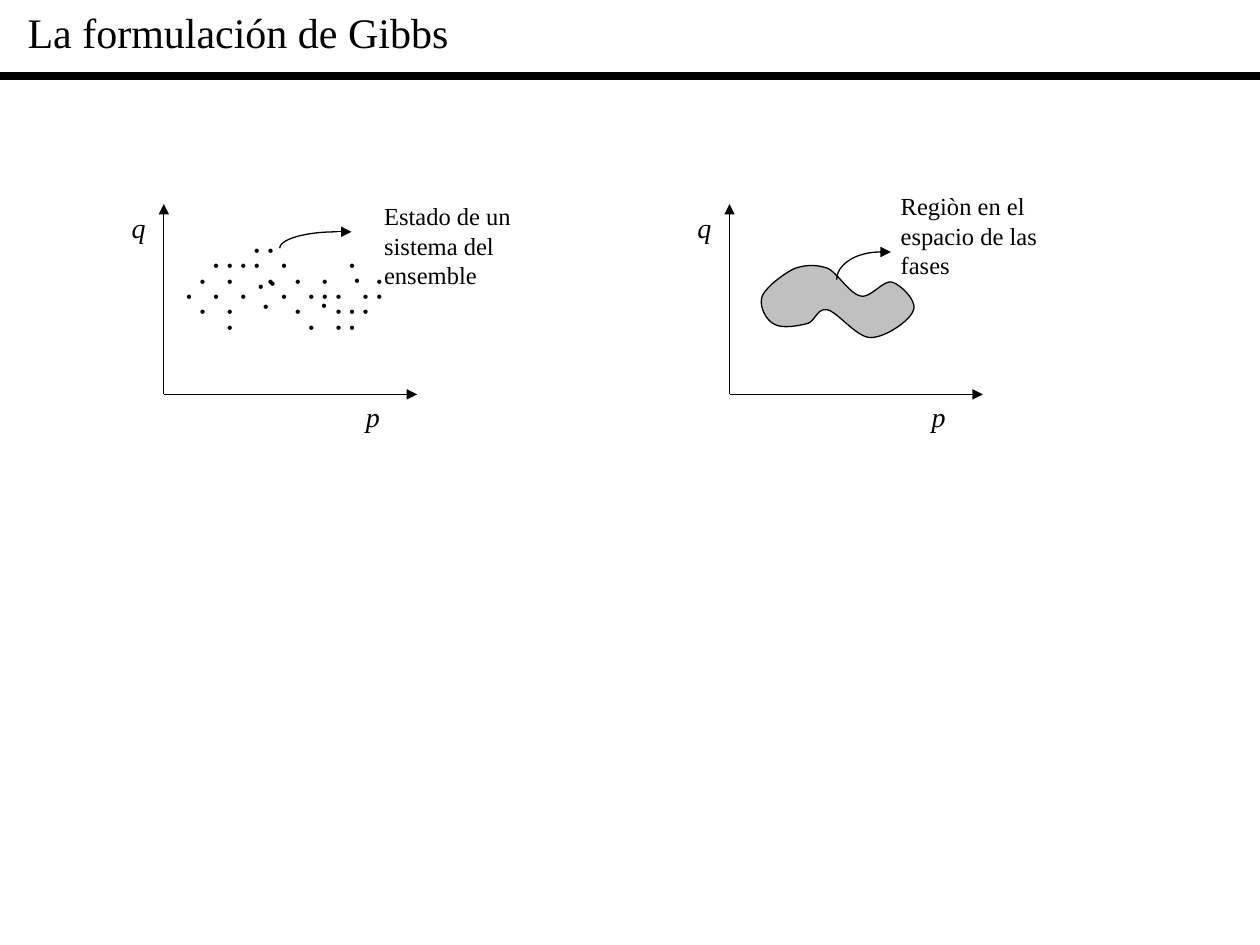
from lxml import etree
from pptx import Presentation
from pptx.dml.color import RGBColor
from pptx.enum import shapes, text
from pptx.oxml import ns
from pptx.util import Inches, Pt

SERIF, SANS = "Times New Roman", "Arial"
BLACK, GRAY = "000000", "C0C0C0"

DOT_ROWS = [
    (5, 6),
    (2, 3, 4, 5, 7, 12),
    (1, 3, 6, 8, 10, 14),
    (0, 2, 4, 7, 9, 10, 11, 13, 14),
    (1, 3, 8, 11, 12, 13),
    (3, 9, 11, 12),
]
STRAY_DOTS = [
    (0.71, 0.26, 0.15, 0.22, "•"),
    (1.12, 0.44, 0.15, 0.22, "•"),
    (0.57, 0.29, 0.22, 0.24, "•"),
    (0.61, 0.45, 0.22, 0.24, "•"),
    (1.3, 0.24, 0.32, 0.24, " •"),
]
REGION_START = (0.29, 0.03)
REGION_CURVES = [
    ((0.38, 0), (0.46, 0), (0.55, 0.03)),
    ((0.63, 0.07), (0.72, 0.23), (0.81, 0.25)),
    ((0.89, 0.27), (0.99, 0.12), (1.06, 0.14)),
    ((1.13, 0.16), (1.26, 0.29), (1.23, 0.36)),
    ((1.21, 0.44), (1.01, 0.58), (0.89, 0.58)),
    ((0.78, 0.58), (0.63, 0.38), (0.55, 0.36)),
    ((0.46, 0.34), (0.45, 0.46), (0.38, 0.47)),
    ((0.3, 0.49), (0.18, 0.51), (0.12, 0.47)),
    ((0.06, 0.44), (0, 0.33), (0.03, 0.25)),
    ((0.06, 0.18), (0.2, 0.07), REGION_START),
]


def color(value):
    return RGBColor.from_string(value)


def add_text(slide, box, runs, space_before=0):
    frame = slide.shapes.add_textbox(*map(Inches, box)).text_frame
    settings = {
        "word_wrap": True,
        "vertical_anchor": text.MSO_ANCHOR.TOP,
        "margin_left": Inches(0.1),
        "margin_right": Inches(0.1),
        "margin_top": Inches(0.05),
        "margin_bottom": Inches(0.05),
    }
    for name, value in settings.items():
        setattr(frame, name, value)
    paragraph = frame.paragraphs[0]
    paragraph.space_before = Pt(space_before)
    for words, size, face, italic in runs:
        run = paragraph.add_run()
        run.text = words
        for name, value in {"size": Pt(size), "name": face, "italic": italic}.items():
            setattr(run.font, name, value)
        run.font.color.rgb = color(BLACK)


def add_line(slide, start, end, width=0.75, arrow=False):
    line = slide.shapes.add_connector(
        shapes.MSO_CONNECTOR.STRAIGHT, *map(Inches, (*start, *end)))
    line.line.color.rgb = color(BLACK)
    line.line.width = Pt(width)
    if arrow:
        outline = line.line._get_or_add_ln()
        etree.SubElement(outline, ns.qn("a:tailEnd"), type="triangle")
    etree.SubElement(line._element.spPr, ns.qn("a:effectLst"))


def style_outline(shape, fill=None):
    shape.shadow.inherit = False
    shape.line.color.rgb = color(BLACK)
    shape.line.width = Pt(0.75)
    if fill:
        shape.fill.solid()
        shape.fill.fore_color.rgb = color(fill)
    else:
        shape.fill.background()


def add_header(slide, left, top, width):
    add_line(slide, (left, top + 0.6), (left + width, top + 0.6), 4.5)
    add_text(slide, (left + 0.12, top, width - 0.12, 0.5),
             [("La formulación de Gibbs", 24, SERIF, False)], 15)


def add_axes(slide, left, top):
    origin = (left + 0.4, top + 1.51)
    for end in ((left + 0.4, top), (left + 2.41, top + 1.51)):
        add_line(slide, origin, end, arrow=True)
    for letter, x, y, width in (("q", 0, 0, 0.47), ("p", 1.86, 1.5, 0.5)):
        add_text(slide, (left + x, top + y, width, 0.38),
                 [(" ", 12, SANS, True), (letter, 16, SERIF, True)])


def add_callout(slide, left, top, width, height, tip, caption, caption_at):
    arc = slide.shapes.add_shape(
        shapes.MSO_SHAPE.ARC, *map(Inches, (left, top, width, height)))
    arc.adjustments[0], arc.adjustments[1] = 108, 162
    style_outline(arc)
    add_line(slide, (left + width / 2, top), (tip, top), arrow=True)
    add_text(slide, (*caption_at, 1.49, 0.8), [(caption, 14, SERIF, False)], 8.8)


def add_ensemble(slide, left, top, width, height):
    column_gap, row_gap = width / 14, height / 5
    dots = [(column * column_gap, row * row_gap, 0.22, 0.24, "•")
            for row, columns in enumerate(DOT_ROWS) for column in columns]
    for x, y, dot_width, dot_height, dot in dots + STRAY_DOTS:
        add_text(slide, (left + x, top + y, dot_width, dot_height),
                 [(dot, 9, SANS, False)])


def curve_points(start, first, second, end, steps=12):
    for step in range(1, steps + 1):
        t = step / steps
        weights = ((1 - t) ** 3, 3 * t * (1 - t) ** 2, 3 * t * t * (1 - t), t ** 3)
        yield tuple(Inches(sum(w * value for w, value in zip(weights, axis)))
                    for axis in zip(start, first, second, end))


def add_region(slide, left, top):
    points, start = [], REGION_START
    for curve in REGION_CURVES:
        points.extend(curve_points(start, *curve))
        start = curve[-1]
    builder = slide.shapes.build_freeform(*map(Inches, REGION_START))
    builder.add_line_segments(points, close=True)
    style_outline(builder.convert_to_shape(Inches(left), Inches(top)), GRAY)


def main():
    deck = Presentation()
    deck.slide_width, deck.slide_height = Inches(10), Inches(7.5)
    slide = deck.slides.add_slide(deck.slide_layouts[6])
    add_header(slide, 0, 0, 10)
    for left in (0.9, 5.39):
        add_axes(slide, left, 1.62)
    add_ensemble(slide, 1.38, 1.86, 1.51, 0.61)
    add_region(slide, 6.02, 2.1)
    add_callout(slide, 2.22, 1.84, 0.91, 0.26, 2.79,
                "Estado de un sistema del ensemble", (2.95, 1.55))
    add_callout(slide, 6.64, 2, 0.69, 0.44, 7.07,
                "Regiòn en el espacio de las fases", (7.05, 1.47))
    deck.save("out.pptx")


if __name__ == "__main__":
    main()
